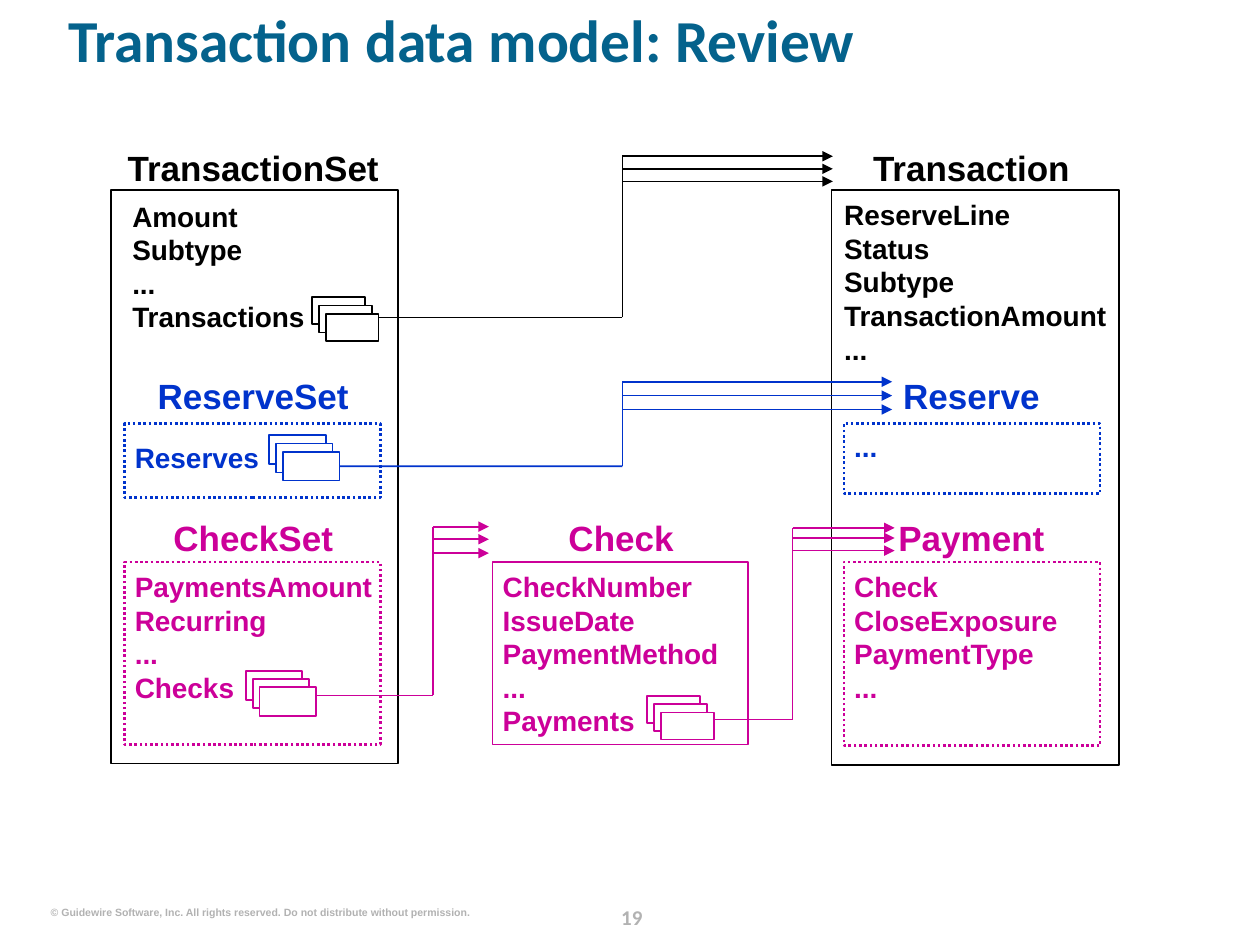
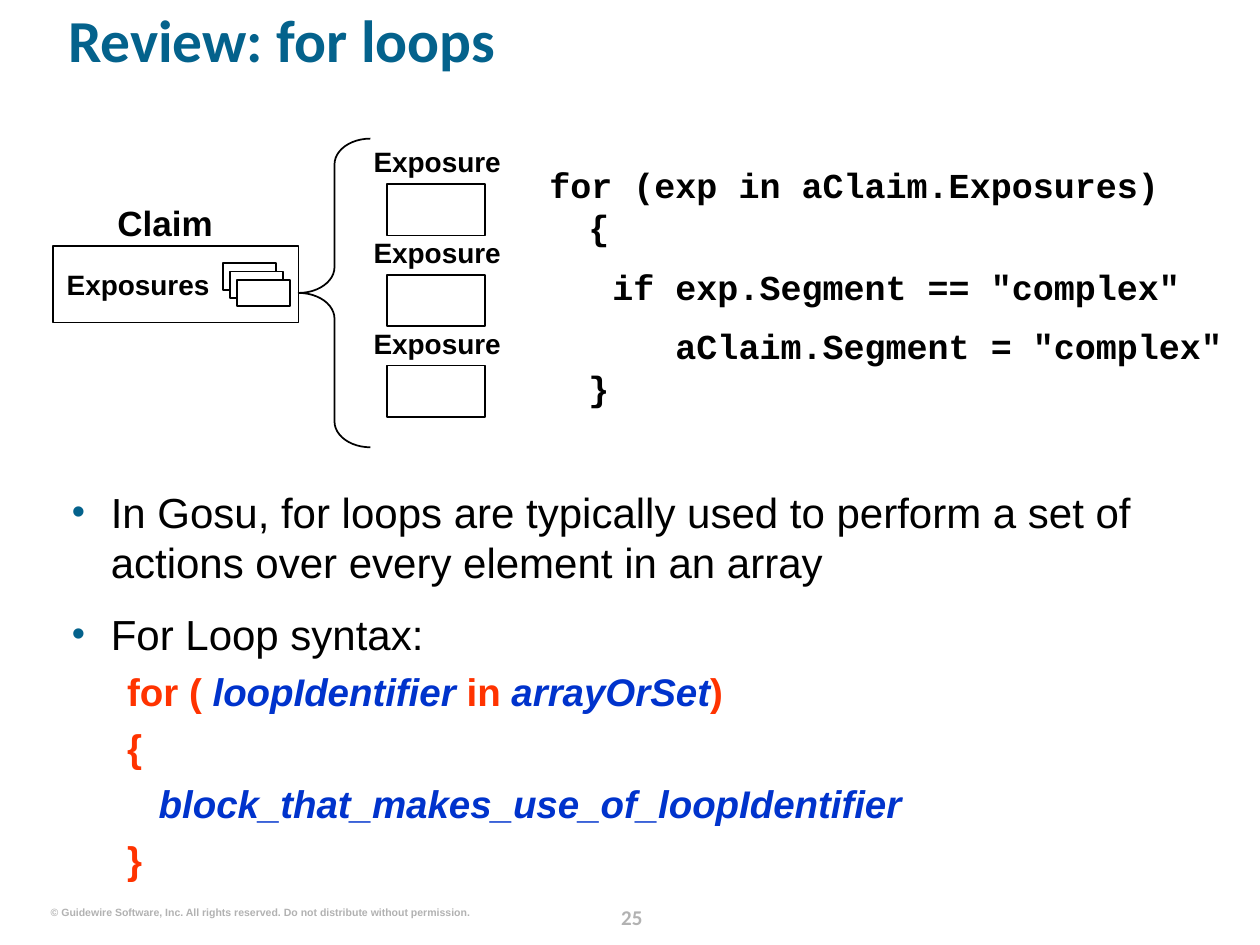
from copy import deepcopy

from lxml import etree
from pptx import Presentation
from pptx.dml.color import RGBColor
from pptx.enum.dml import MSO_LINE
from pptx.enum.shapes import MSO_CONNECTOR, MSO_SHAPE
from pptx.enum.text import PP_ALIGN
from pptx.oxml.ns import qn
from pptx.util import Inches, Pt

LEFT, CENTER, RIGHT = PP_ALIGN.LEFT, PP_ALIGN.CENTER, PP_ALIGN.RIGHT
RECTANGLE, LEFT_BRACE = MSO_SHAPE.RECTANGLE, MSO_SHAPE.LEFT_BRACE
STRAIGHT = MSO_CONNECTOR.STRAIGHT
DOTTED = MSO_LINE.ROUND_DOT  # saved as sysDot

BLACK = RGBColor(0x00, 0x00, 0x00)
WHITE = RGBColor(0xFF, 0xFF, 0xFF)
TEAL = RGBColor(0x04, 0x62, 0x8C)
BLUE = RGBColor(0x00, 0x33, 0xCC)
MAGENTA = RGBColor(0xCC, 0x00, 0x99)
ORANGE = RGBColor(0xFF, 0x33, 0x00)
GREY = RGBColor(0xB2, 0xB2, 0xB2)

# Text styles: font, size, bold, italic
TITLE = ("Calibri", 34, True, False)
PAGE_NUMBER = ("Calibri", 12, True, False)
COPYRIGHT = ("Arial", 6, True, False)
HEADING = ("Arial", 20, True, False)
LABEL = ("Arial", 16, True, False)
CODE = ("Courier New", 20, True, False)
BULLET = ("Arial", 24, False, False)
KEYWORD = ("Arial", 22, True, False)
VARIABLE = ("Arial", 22, True, True)

presentation = Presentation()
presentation.slide_width = Inches(10)
presentation.slide_height = Inches(7.5)

# Grid: 100 columns by 75 rows; every area is left, top, width, height in it
COLUMN = presentation.slide_width / 100
ROW = presentation.slide_height / 75


def add_text(slide, area, paragraphs, align=LEFT):
    """Add a text box; each paragraph is a list of (text, style, colour)."""
    left, top, width, height = area
    box = slide.shapes.add_textbox(
        int(left * COLUMN), int(top * ROW), int(width * COLUMN), int(height * ROW))
    frame = box.text_frame
    frame.word_wrap = True
    frame.margin_left = frame.margin_right = frame.margin_top = frame.margin_bottom = 0
    for index, runs in enumerate(paragraphs):
        paragraph = frame.add_paragraph() if index else frame.paragraphs[0]
        paragraph.alignment = align
        for text, (font, size, bold, italic), colour in runs:
            for line_index, line in enumerate(text.split("\n")):
                if line_index:
                    # A line break carries the formatting of the run before it
                    paragraph.add_line_break()
                    paragraph._p[-1].append(deepcopy(run._r.rPr))
                run = paragraph.add_run()
                run.text = line
                run.font.name = font
                run.font.size = Pt(size)
                run.font.bold = bold
                run.font.italic = italic
                run.font.color.rgb = colour
    return frame


def add_outline(slide, area, colour, fill=None, preset=RECTANGLE):
    """Add an outlined shape, hollow unless a fill is given."""
    left, top, width, height = area
    shape = slide.shapes.add_shape(
        preset, int(left * COLUMN), int(top * ROW), int(width * COLUMN), int(height * ROW))
    shape.shadow.inherit = False
    if fill is None:
        shape.fill.background()
    else:
        shape.fill.solid()
        shape.fill.fore_color.rgb = fill
    shape.line.color.rgb = colour
    shape.line.width = Pt(1)
    return shape


# Slides with shared title and footer
slides = []
for title, number in (("Transaction data model: Review", "19"), ("Review: for loops", "25")):
    slide = presentation.slides.add_slide(presentation.slide_layouts[6])
    slides.append(slide)
    frame = add_text(slide, (5.4, 1.3, 91, 8.1), [[(title, TITLE, TEAL)]])
    frame.paragraphs[0].line_spacing = 0.8
    frame = add_text(slide, (47.3, 71.3, 5.7, 2.5), [[(number, PAGE_NUMBER, GREY)]], CENTER)
    frame.paragraphs[0].line_spacing = Pt(18)
    notice = "© Guidewire Software, Inc. All rights reserved. Do not distribute without permission."
    frame = add_text(slide, (4, 71.9, 33.3, 1), [[(notice, COPYRIGHT, GREY)]], RIGHT)
    frame.word_wrap = False
model_slide, loop_slide = slides

# Data model entities, in bands of: colour, heading top, box top
TRANSACTION_BAND = (BLACK, 11.6, 15.1)
RESERVE_BAND = (BLUE, 29.7, 33.6)
CHECK_BAND = (MAGENTA, 41, 44.6)
LEFT_CENTRE, MIDDLE_CENTRE, RIGHT_CENTRE = 20.1, 49.3, 77.1
HEADING_WIDTH = 21.4

# Name, band, centre, box left, width and height, dotted, text left and top, fields
entities = [
    ("TransactionSet", TRANSACTION_BAND, LEFT_CENTRE, 8.8, 22.8, 45.5, False, 10.5, 15.8,
     "Amount\nSubtype\n...\nTransactions"),
    ("Transaction", TRANSACTION_BAND, RIGHT_CENTRE, 66, 22.8, 45.6, False, 67, 15.7,
     "ReserveLine\nStatus\nSubtype\nTransactionAmount\n..."),
    ("ReserveSet", RESERVE_BAND, LEFT_CENTRE, 9.9, 20.3, 5.9, True, 10.7, 35, "Reserves"),
    ("Reserve", RESERVE_BAND, RIGHT_CENTRE, 67, 20.3, 5.6, True, 67.8, 34.1, "..."),
    ("CheckSet", CHECK_BAND, LEFT_CENTRE, 9.9, 20.3, 14.5, True, 10.7, 45.2,
     "PaymentsAmount\nRecurring\n...\nChecks"),
    ("Check", CHECK_BAND, MIDDLE_CENTRE, 39.1, 20.3, 14.5, False, 39.9, 45.2,
     "CheckNumber\nIssueDate\nPaymentMethod\n...\nPayments"),
    ("Payment", CHECK_BAND, RIGHT_CENTRE, 67, 20.3, 14.6, True, 67.8, 45.2,
     "Check\nCloseExposure\nPaymentType\n..."),
]
for name, band, centre, left, width, height, dotted, text_left, text_top, fields in entities:
    colour, heading_top, box_top = band
    box = add_outline(model_slide, (left, box_top, width, height), colour)
    if dotted:
        box.line.dash_style = DOTTED
        box.line.width = Pt(1.5)
    heading_area = (centre - HEADING_WIDTH / 2, heading_top, HEADING_WIDTH, 3.3)
    add_text(model_slide, heading_area, [[(name, HEADING, colour)]], CENTER)
    field_height = 2.67 * len(fields.split("\n"))
    add_text(model_slide, (text_left, text_top, 22.4, field_height), [[(fields, LABEL, colour)]])

# Claim and its exposures
add_outline(loop_slide, (4.2, 19.5, 19.5, 6.1), BLACK)
add_text(loop_slide, (6.5, 16, 13.2, 3.3), [[("Claim", HEADING, BLACK)]], CENTER)
add_text(loop_slide, (5.3, 21.2, 14, 2.7), [[("Exposures", LABEL, BLACK)]])
brace = add_outline(loop_slide, (23.7, 11, 5.7, 24.5), BLACK, preset=LEFT_BRACE)
brace.adjustments[0] = 0.36
EXPOSURE_PITCH = 7.2
for index in range(3):
    top = 11.5 + index * EXPOSURE_PITCH
    add_text(loop_slide, (28.1, top, 13.2, 2.7), [[("Exposure", LABEL, BLACK)]], CENTER)
    add_outline(loop_slide, (30.7, top + 3.1, 7.8, 4.1), BLACK, WHITE)

# Stacks of three cards that stand for arrays, on both slides
CARD_STEP_X, CARD_STEP_Y = 0.55, 0.65
stacks = [
    ("Transactions", model_slide, (24.75, 23.6, 4.2, 2.15), BLACK),
    ("Reserves", model_slide, (21.35, 34.55, 4.5, 2.3), BLUE),
    ("Checks", model_slide, (19.5, 53.25, 4.5, 2.3), MAGENTA),
    ("Payments", model_slide, (51.35, 55.25, 4.2, 2.15), MAGENTA),
    ("Exposures", loop_slide, (17.7, 20.9, 4.2, 2.1), BLACK),
]
front_cards = {}
for name, slide, (left, top, width, height), colour in stacks:
    for step in range(3):
        area = (left + step * CARD_STEP_X, top + step * CARD_STEP_Y, width, height)
        front_cards[name] = add_outline(slide, area, colour, WHITE)

# Branches from each array: start, trunk column, arrow rows, arrow end
branches = [
    ("Transactions", BLACK, (30.1, 25.2), 49.4, (12.4, 13.4, 14.4), 66.1),
    ("Reserves", BLUE, (26.95, 37), 49.4, (30.3, 31.4, 32.5), 70.8),
    ("Checks", MAGENTA, (25.1, 55.2), 34.35, (41.8, 42.8, 43.9), 38.8),
    ("Payments", MAGENTA, (56.6, 57.1), 62.9, (41.9, 42.7, 43.7), 71),
]
for name, colour, (start_x, start_y), trunk, arrow_rows, arrow_end in branches:
    lines = [(start_x, start_y, trunk, start_y), (trunk, start_y, trunk, arrow_rows[0])]
    lines += [(trunk, row, arrow_end, row) for row in arrow_rows]
    for index, (x1, y1, x2, y2) in enumerate(lines):
        connector = model_slide.shapes.add_connector(
            STRAIGHT, int(x1 * COLUMN), int(y1 * ROW), int(x2 * COLUMN), int(y2 * ROW))
        connector.line.color.rgb = colour
        connector.line.width = Pt(1)
        properties = connector._element.spPr
        etree.SubElement(properties, qn("a:effectLst"))
        if index >= 2:
            etree.SubElement(properties.find(qn("a:ln")), qn("a:tailEnd"), type="triangle")
        if index == 0 and name == "Reserves":
            connector.begin_connect(front_cards[name], 3)

# Code example
code_lines = [
    "for (exp in aClaim.Exposures)\n{",
    "   if exp.Segment == \"complex\"",
    "      aClaim.Segment = \"complex\"\n}",
]
frame = add_text(loop_slide, (43.6, 13, 54.8, 19.5), [[(line, CODE, BLACK)] for line in code_lines])
for index, paragraph in enumerate(frame.paragraphs):
    properties = paragraph._p.get_or_add_pPr()
    properties.set("marL", str(Inches(0.31)))
    properties.set("indent", str(-Inches(0.31)))
    paragraph.space_before = Pt(10 if index else 0)

# Explanation and syntax
explanation = [
    [("In Gosu, for loops are typically used to perform a set of actions "
      "over every element in an array", BULLET, BLACK)],
    [("For Loop syntax:", BULLET, BLACK)],
    [("for ( ", KEYWORD, ORANGE), ("loopIdentifier", VARIABLE, BLUE), (" in ", KEYWORD, ORANGE),
     ("arrayOrSet", VARIABLE, BLUE), (")", KEYWORD, ORANGE)],
    [("{", KEYWORD, ORANGE)],
    [("block_that_makes_use_of_loopIdentifier", VARIABLE, BLUE)],
    [("}", KEYWORD, ORANGE)],
]
# Left margin, first-line indent, space before
layouts = [(0.31, -0.31, 0), (0.31, -0.31, 12), (0.69, -0.25, 5.5),
           (0.69, -0.25, 5.5), (0.69, 0, 5.5), (0.69, -0.25, 5.5)]
frame = add_text(loop_slide, (5.7, 38.6, 91, 31.3), explanation)
for index, (margin, indent, space) in enumerate(layouts):
    paragraph = frame.paragraphs[index]
    properties = paragraph._p.get_or_add_pPr()
    properties.set("marL", str(Inches(margin)))
    properties.set("indent", str(Inches(indent)))
    if index < 2:
        bullet_colour = etree.SubElement(properties, qn("a:buClr"))
        etree.SubElement(bullet_colour, qn("a:srgbClr"), val=str(TEAL))
        etree.SubElement(properties, qn("a:buSzPct"), val="90000")
        etree.SubElement(properties, qn("a:buFont"), typeface="Arial")
        etree.SubElement(properties, qn("a:buChar"), char="•")
    paragraph.space_before = Pt(space)

presentation.save("out.pptx")
